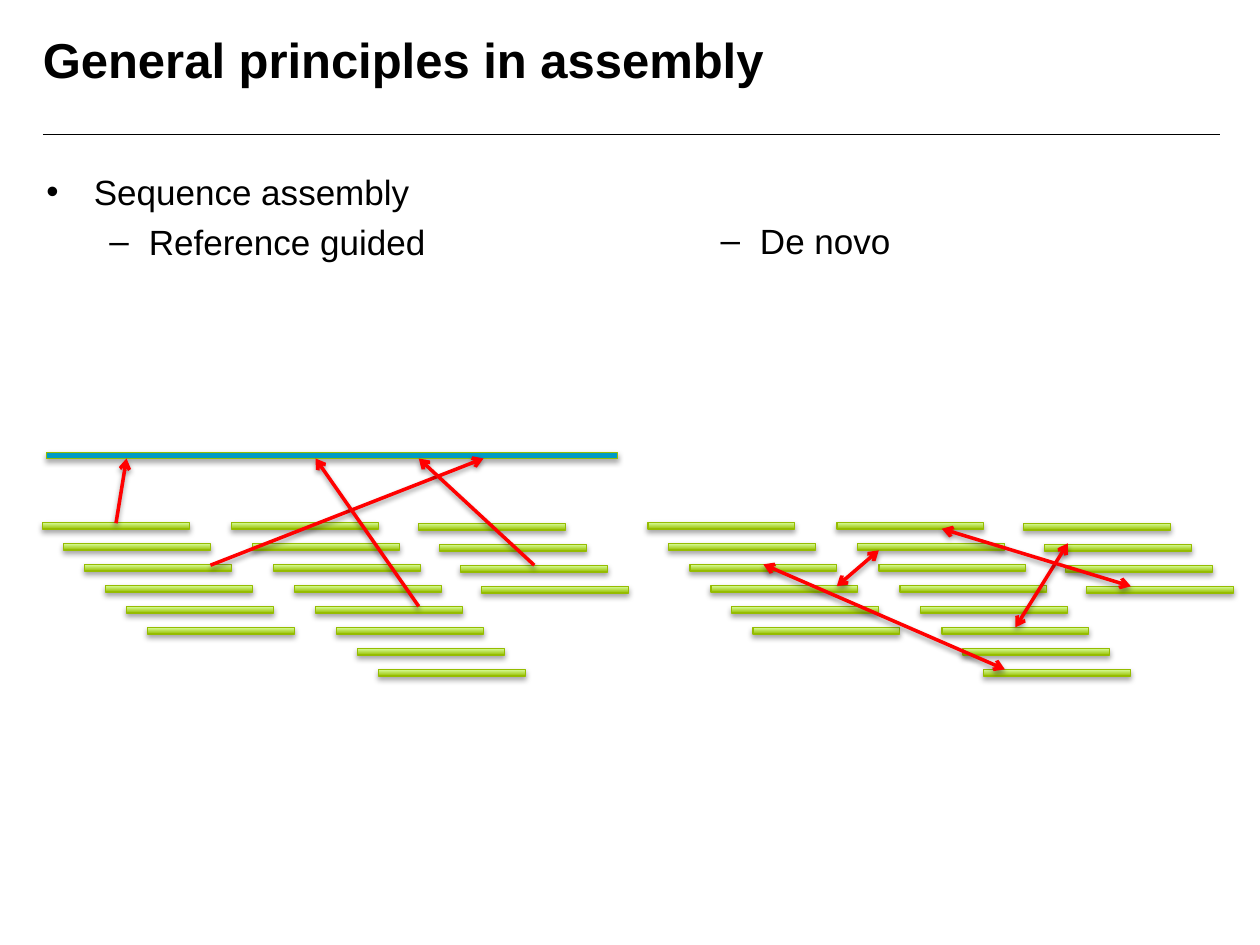
from lxml import etree
from pptx import Presentation
from pptx.dml.color import RGBColor
from pptx.enum.shapes import MSO_CONNECTOR, MSO_SHAPE
from pptx.oxml.ns import qn
from pptx.util import Pt

STRAIGHT = MSO_CONNECTOR.STRAIGHT
RECTANGLE = MSO_SHAPE.RECTANGLE

COLORS = {
    "text": "000000",
    "reference": "009AC5",
    "read_dark": "98C000",
    "read_light": "DAFFA0",
    "read_edge": "95BC00",
    "match": "FF0000",
    "shadow": "000000",
}
FONT = "Arial"

# Content: text as (words, bullet, left margin, hanging indent)
TITLE = "General principles in assembly"
GUIDED_TEXT = [("Sequence assembly", "•", 27, 27),
               ("Reference guided", "–", 58.5, 22.5)]
DE_NOVO_TEXT = [("De novo", "–", 58.5, 22.5)]

# Stacks of reads as (left within panel, top, number of reads)
READ_STACKS = [(0, 298.5, 6), (108, 298.5, 8), (214.8, 299, 4)]
PANEL_LEFTS = [24.3, 370.2]
READ_STEP = 12
READ_SIZE = (84, 3.9)
REFERENCE = (26.6, 258.5, 326.4, 3.6)

# Arrows as (x1, y1, x2, y2)
READ_TO_REFERENCE = [(66.3, 299, 72.3, 262), (120.3, 323, 276.3, 262),
                     (239.3, 346.5, 180.3, 262), (305.3, 323, 239.3, 262)]
READ_TO_READ = [(478.2, 335, 502.2, 314.5), (580.2, 358.5, 610.2, 310.5),
                (646.2, 335, 538.2, 302.2), (574.2, 382.5, 436.2, 322.5)]


def rgb(name):
    return RGBColor.from_string(COLORS[name])


def add_text(slide, box, paragraphs, size, bold=False):
    frame = slide.shapes.add_textbox(*map(Pt, box)).text_frame
    frame.word_wrap = True
    frame.margin_left = frame.margin_right = 0
    frame.margin_top = frame.margin_bottom = 0
    for i, (words, bullet, margin, hanging) in enumerate(paragraphs):
        paragraph = frame.add_paragraph() if i else frame.paragraphs[0]
        if bullet:
            props = paragraph._p.get_or_add_pPr()
            props.set("marL", str(Pt(margin)))
            props.set("indent", str(-Pt(hanging)))
            etree.SubElement(props, qn("a:buFont"), typeface=FONT)
            etree.SubElement(props, qn("a:buChar"), char=bullet)
        if i:
            paragraph.space_before = Pt(5)
        run = paragraph.add_run()
        run.text = words
        run.font.name, run.font.size, run.font.bold = FONT, Pt(size), bold
        run.font.color.rgb = rgb("text")


def add_shadow(effects, opacity):
    shadow = etree.SubElement(effects, qn("a:outerShdw"), blurRad=str(Pt(3.1)),
                              dist=str(Pt(1.8)), dir="5400000", rotWithShape="0")
    color = etree.SubElement(shadow, qn("a:srgbClr"), val=COLORS["shadow"])
    etree.SubElement(color, qn("a:alpha"), val=str(opacity * 1000))


def add_bar(slide, box):
    bar = slide.shapes.add_shape(RECTANGLE, *map(Pt, box))
    bar.line.color.rgb = rgb("read_edge")
    bar.line.width = Pt(0.75)
    bar.shadow.inherit = False
    add_shadow(bar._element.spPr.find(qn("a:effectLst")), 35)
    return bar


def add_line(slide, ends, color, width):
    line = slide.shapes.add_connector(STRAIGHT, *map(Pt, ends))
    line.line.color.rgb = rgb(color)
    line.line.width = Pt(width)
    effects = etree.SubElement(line._element.spPr, qn("a:effectLst"))
    return line, effects


def add_arrow(slide, ends, arrowheads):
    arrow, effects = add_line(slide, ends, "match", 2)
    for end in arrowheads:
        etree.SubElement(arrow.line._get_or_add_ln(), qn(end), type="arrow")
    add_shadow(effects, 38)


def main():
    prs = Presentation()
    prs.slide_width, prs.slide_height = Pt(720), Pt(540)
    slide = prs.slides.add_slide(prs.slide_layouts[6])

    # Heading and text columns
    add_line(slide, (24.5, 76.8, 697, 76.8), "text", 1)
    add_text(slide, (24.5, 16.6, 492, 45), [(TITLE, None, 0, 0)], 28, bold=True)
    add_text(slide, (26.6, 97.2, 318, 385), GUIDED_TEXT, 20)
    add_text(slide, (375.8, 125.2, 318, 357), DE_NOVO_TEXT, 20)

    # Reference sequence
    reference = add_bar(slide, REFERENCE)
    reference.fill.solid()
    reference.fill.fore_color.rgb = rgb("reference")

    # Staggered reads, the same in both panels
    for panel_left in PANEL_LEFTS:
        for left, top, count in READ_STACKS:
            for i in range(count):
                shift = i * READ_STEP
                read = add_bar(slide, (panel_left + left + shift, top + shift, *READ_SIZE))
                read.fill.gradient()
                read.fill.gradient_angle = 90
                for stop, name, position in zip(read.fill.gradient_stops,
                                                ("read_dark", "read_light"), (0, 1)):
                    stop.color.rgb = rgb(name)
                    stop.position = position

    # Matches
    for ends in READ_TO_REFERENCE:
        add_arrow(slide, ends, ["a:tailEnd"])
    for ends in READ_TO_READ:
        add_arrow(slide, ends, ["a:headEnd", "a:tailEnd"])

    prs.save("out.pptx")


if __name__ == "__main__":
    main()
